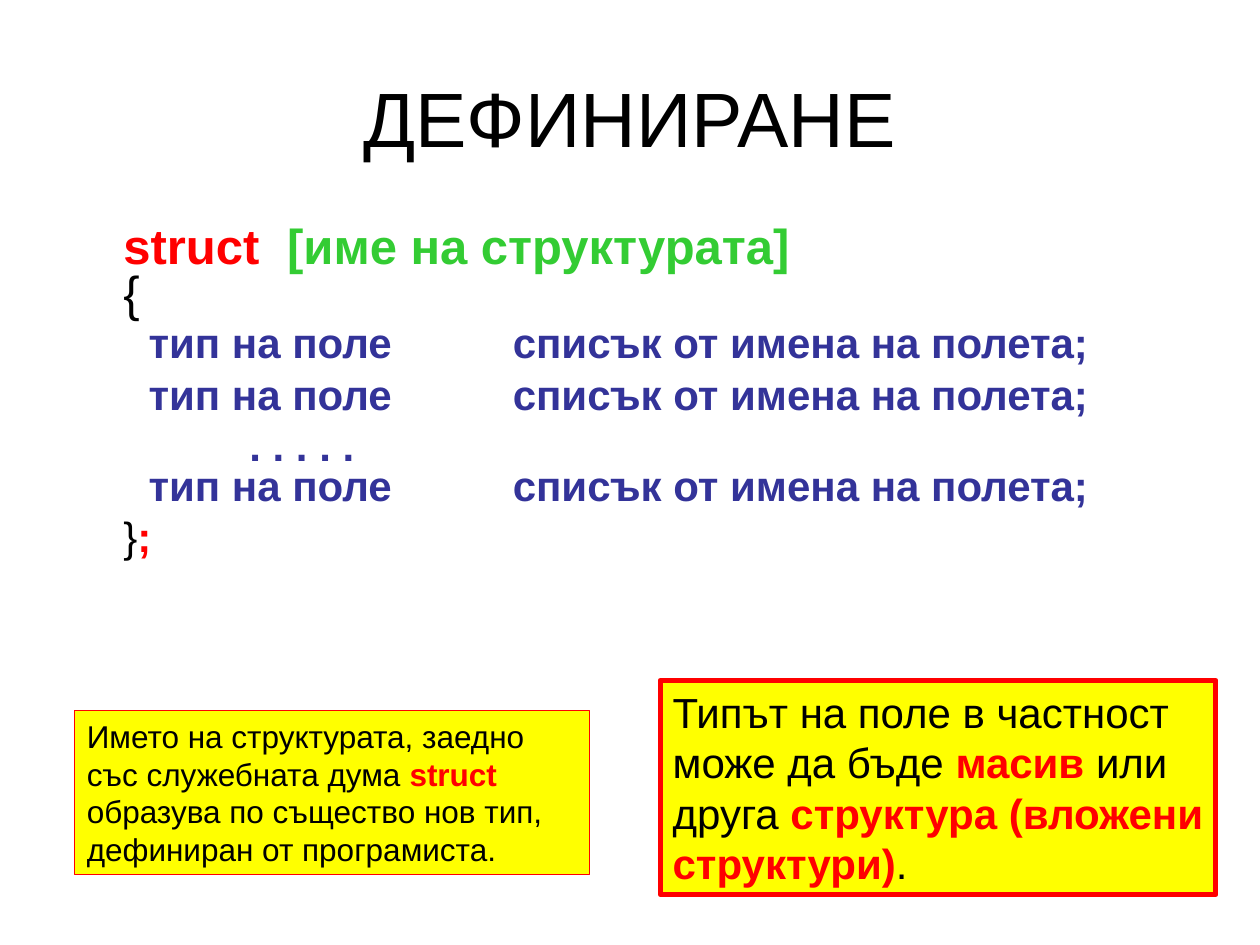
import pptx
import pptx.util
import pptx.dml.color
import pptx.enum.shapes
import pptx.enum.text
from lxml import etree
from pptx.oxml.ns import qn

Inches, Pt = pptx.util.Inches, pptx.util.Pt
ANCHOR, ALIGN = pptx.enum.text.MSO_ANCHOR, pptx.enum.text.PP_ALIGN

BLACK, RED, GREEN, BLUE, YELLOW = "000000", "FF0000", "33CC33", "333399", "FFFF00"
FIELD = "\tтип на поле\tсписък от имена на полета;"

TITLE = [[("ДЕФИНИРАНЕ", 44, BLACK, False)]]
SYNTAX = [
    [
        ("struct", 28, RED, True),
        ("\t[име на структурата]\n", 28, GREEN, True),
        ("{\n", 28, BLACK, False),
        ("\t", 28, BLACK, False),
        (FIELD[1:], 24, BLUE, True),
    ],
    [(FIELD, 24, BLUE, True)],
    [("\t\t. . . . .\n" + FIELD, 24, BLUE, True)],
    [("}", 24, BLACK, False), (";", 24, RED, True)],
]
FIELD_NOTE = [[
    ("Типът на поле в частност може да бъде ", 24, BLACK, False),
    ("масив", 24, RED, True),
    (" или друга ", 24, BLACK, False),
    ("структура (вложени структури)", 24, RED, True),
    (".", 24, BLACK, False),
]]
NAME_NOTE = [[
    ("Името на структурата, заедно със служебната дума ", 18, BLACK, False),
    ("struct ", 18, RED, True),
    ("образува по същество нов тип, дефиниран от програмиста.", 18, BLACK, False),
]]
SYNTAX_TABS = [0.2, 1, 1.3, 3.09]
NOTES = [
    ((5.24, 5.4, 4.41, 1.7), 3, FIELD_NOTE, {"space_before": Pt(15)}),
    ((0.59, 5.64, 4.09, 1.3), 0.75, NAME_NOTE, {}),
]


def color(value):
    return pptx.dml.color.RGBColor.from_string(value)


def set_all(target, values):
    for name, value in values.items():
        setattr(target, name, value)


def write(sp, paragraphs, frame, para, tabs=()):
    tf = sp.text_frame
    set_all(tf, {"word_wrap": True, **frame})
    for i, runs in enumerate(paragraphs):
        p = tf.add_paragraph() if i else tf.paragraphs[0]
        set_all(p, {"alignment": ALIGN.LEFT, **para})
        if tabs:
            stops = etree.SubElement(p._p.get_or_add_pPr(), qn("a:tabLst"))
            for pos in tabs:
                etree.SubElement(stops, qn("a:tab"), pos=str(Inches(pos)), algn="l")
        for text, size, ink, bold in runs:
            for j, line in enumerate(text.split("\n")):
                if j:
                    p.add_line_break()
                if line:
                    r = p.add_run()
                    r.text = line
                    set_all(r.font, {"name": "Arial", "size": Pt(size), "bold": bold})
                    r.font.color.rgb = color(ink)


def main():
    prs = pptx.Presentation()
    set_all(prs, {"slide_width": Inches(10), "slide_height": Inches(7.5)})
    s = prs.slides.add_slide(prs.slide_layouts[6])

    title = s.shapes.add_textbox(*map(Inches, (0.5, 0.3, 9, 1.25)))
    write(title, TITLE, {"vertical_anchor": ANCHOR.MIDDLE}, {"alignment": ALIGN.CENTER})

    syntax = s.shapes.add_textbox(*map(Inches, (0.5, 1.75, 9, 3.65)))
    write(syntax, SYNTAX, {"margin_left": Inches(0.48)},
          {"line_spacing": 0.8, "space_before": Pt(6)}, SYNTAX_TABS)

    for box, width, text, para in NOTES:
        sp = s.shapes.add_shape(pptx.enum.shapes.MSO_SHAPE.RECTANGLE, *map(Inches, box))
        sp.shadow.inherit = False
        sp.fill.solid()
        sp.fill.fore_color.rgb = color(YELLOW)
        sp.line.color.rgb = color(RED)
        sp.line.width = Pt(width)
        write(sp, text, {"vertical_anchor": ANCHOR.TOP}, para)

    prs.save("out.pptx")


if __name__ == "__main__":
    main()
